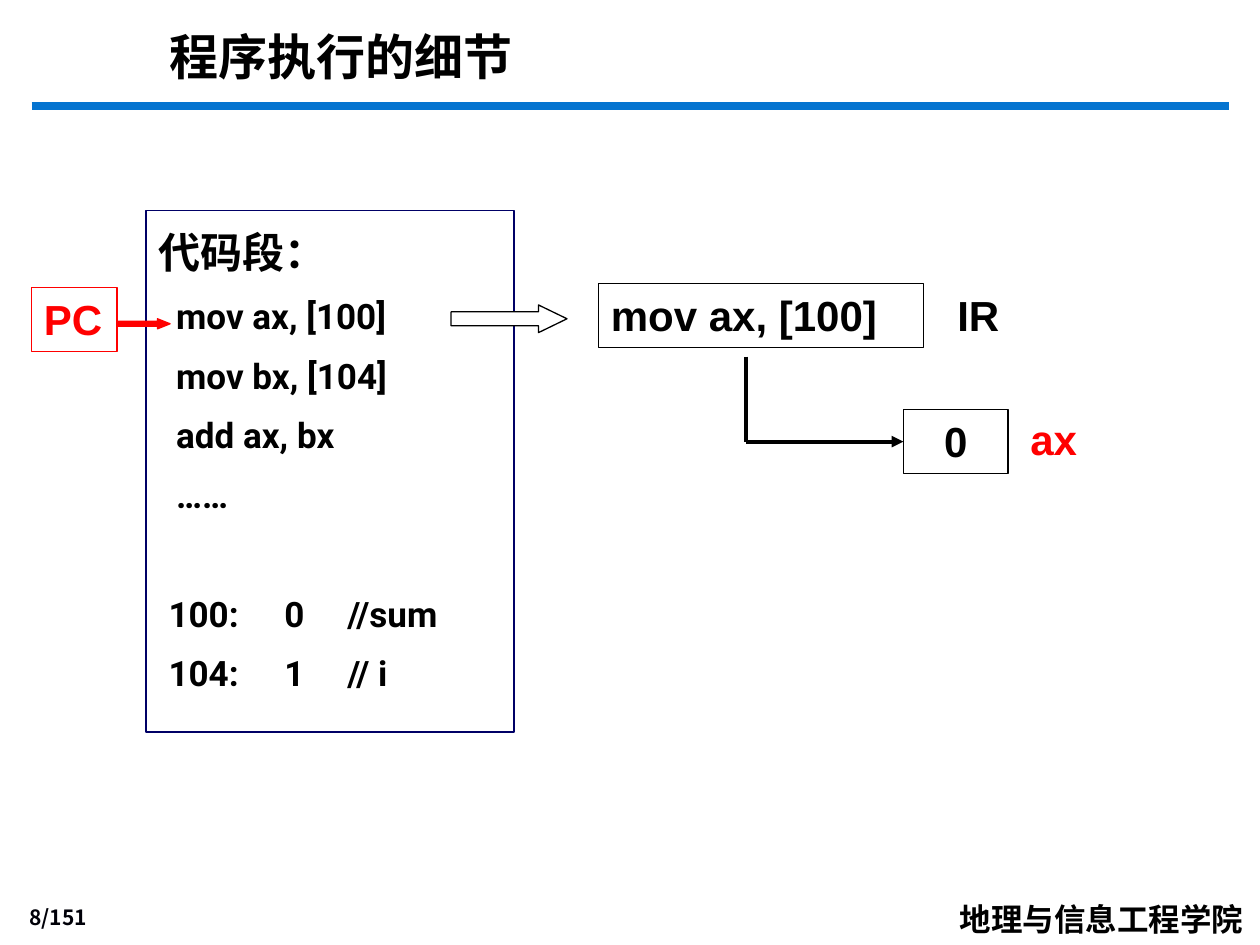
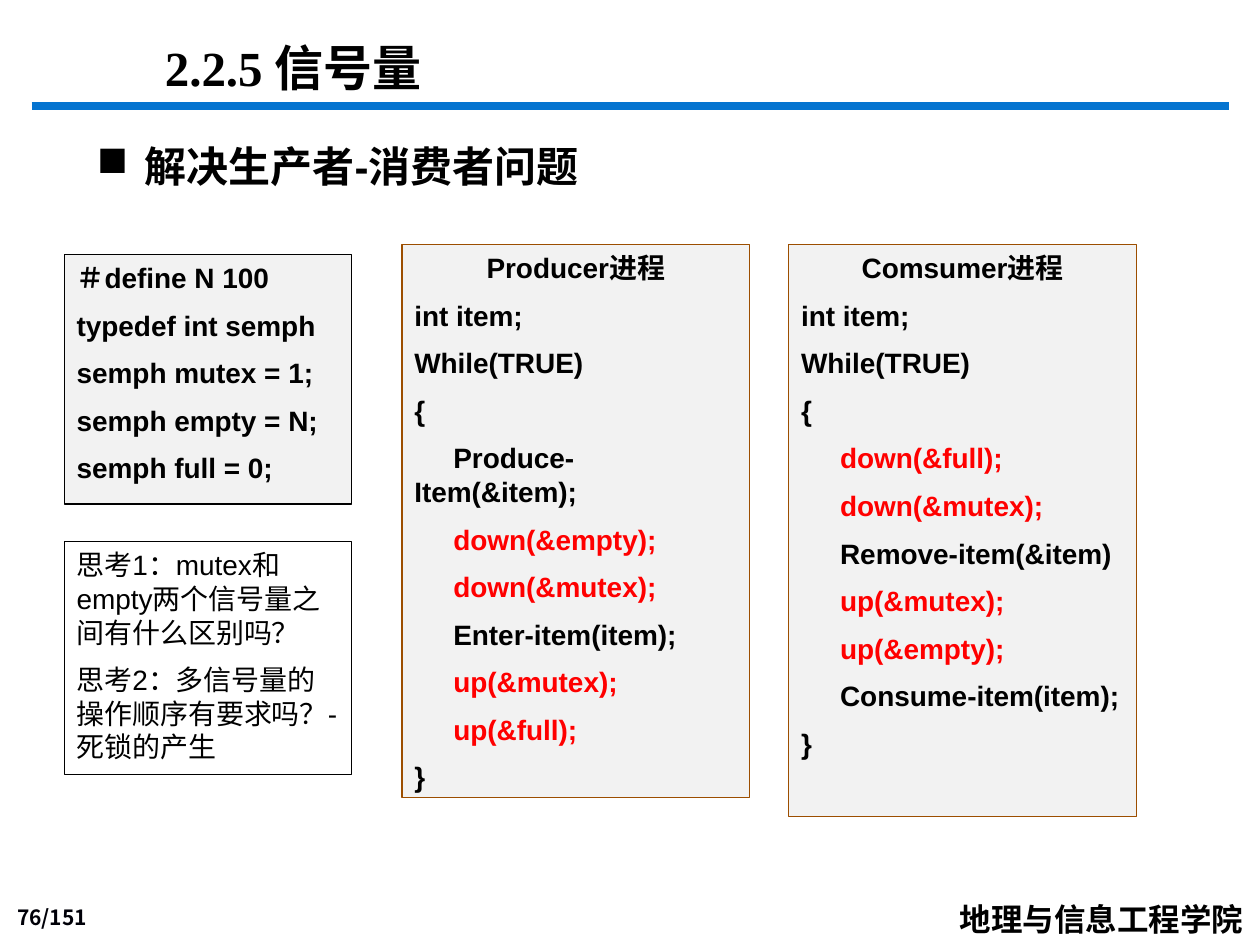
from lxml.etree import SubElement
from pptx import Presentation
from pptx.dml.color import RGBColor
from pptx.enum.shapes import MSO_CONNECTOR, MSO_SHAPE
from pptx.enum.text import MSO_ANCHOR, PP_ALIGN
from pptx.oxml.ns import qn
from pptx.util import Inches, Pt

BLACK = RGBColor(0x00, 0x00, 0x00)
WHITE = RGBColor(0xFF, 0xFF, 0xFF)
RED = RGBColor(0xFF, 0x00, 0x00)
BLUE = RGBColor(0x05, 0x74, 0xD0)
NAVY = RGBColor(0x00, 0x00, 0x66)
NUMBER_INK = RGBColor(0x00, 0x00, 0x08)
BROWN = RGBColor(0x9C, 0x4E, 0x00)
PANEL_GRAY = RGBColor(0xF2, 0xF2, 0xF2)

SLIDE_WIDTH, SLIDE_HEIGHT = Inches(10), Inches(7.5)
COLUMNS, ROWS = 100, 75
CJK_FONT = "Noto Sans CJK SC"

SCHOOL = "地理与信息工程学院"
PAGE_COUNT = 151

EXECUTION = {
    "number": 8,
    "title": "程序执行的细节",
    "heading": "代码段：",
    "instructions": ["mov ax, [100]", "mov bx, [104]", "add ax, bx", "……"],
    "memory": ["100:\t0\t//sum", "104:\t1\t// i"],
}
SEMAPHORE = {
    "number": 76,
    "title": "2.2.5 信号量",
    "topic": "解决生产者-消费者问题",
    "definitions": [
        "＃define N 100", "typedef int semph", "semph mutex = 1;",
        "semph empty = N;", "semph full = 0;",
    ],
    "questions": [
        "思考1：mutex和empty两个信号量之间有什么区别吗？",
        "思考2：多信号量的操作顺序有要求吗？-死锁的产生",
    ],
    "processes": [
        ("Producer进程", 43.9, [
            "Produce-Item(&item);", "down(&empty);", "down(&mutex);",
            "Enter-item(item);", "up(&mutex);", "up(&full);",
        ]),
        ("Comsumer进程", 45.4, [
            "down(&full);", "down(&mutex);", "Remove-item(&item)",
            "up(&mutex);", "up(&empty);", "Consume-item(item);",
        ]),
    ],
}


def across(columns):
    return round(SLIDE_WIDTH * columns / COLUMNS)


def down(rows):
    return round(SLIDE_HEIGHT * rows / ROWS)


def place(area):
    left, top, width, height = area
    return across(left), down(top), across(width), down(height)


def add_text(page, area, lines, wrap=True, anchor=MSO_ANCHOR.TOP, **style):
    box = page.shapes.add_textbox(*place(area))
    write(box, lines, wrap, anchor, **style)
    return box


def add_panel(page, area, line, fill=None, kind=MSO_SHAPE.RECTANGLE):
    panel = page.shapes.add_shape(kind, *place(area))
    panel.shadow.inherit = False
    panel.line.color.rgb = line
    panel.line.width = Pt(0.75)
    if fill is None:
        panel.fill.background()
    else:
        panel.fill.solid()
        panel.fill.fore_color.rgb = fill
    return panel


def add_line(page, start, end, color, width, arrow=False):
    line = page.shapes.add_connector(
        MSO_CONNECTOR.STRAIGHT,
        across(start[0]), down(start[1]), across(end[0]), down(end[1]))
    line.line.color.rgb = color
    line.line.width = Pt(width)
    if arrow:
        SubElement(line.line._ln, qn("a:tailEnd"), type="triangle")
    SubElement(line._element.spPr, qn("a:effectLst"))
    return line


def write(box, lines, wrap=True, anchor=MSO_ANCHOR.TOP, **style):
    frame = box.text_frame
    frame.word_wrap = wrap
    frame.vertical_anchor = anchor
    for index, line in enumerate(lines):
        para = frame.paragraphs[0] if index == 0 else frame.add_paragraph()
        own = line if isinstance(line, dict) else {"text": line}
        format_paragraph(para, index, **{**style, **own})


def format_paragraph(para, index, text, size=24, font="Arial", color=BLACK,
                     bold=True, align=PP_ALIGN.LEFT, first_indent=0,
                     margin=0, bullet=None, tabs=(), extra_space=0):
    para.text = text
    para.alignment = align
    para.space_before = Pt(size / 2 + extra_space if index else 0)
    properties = para._p.get_or_add_pPr()
    properties.set("marL", str(across(margin)))
    properties.set("indent", str(across(first_indent)))
    if bullet:
        SubElement(properties, qn("a:buChar"), char=bullet)
    if tabs:
        stops = SubElement(properties, qn("a:tabLst"))
        for stop in tabs:
            SubElement(stops, qn("a:tab"), pos=str(across(stop)), algn="l")
    para.font.size = Pt(size)
    para.font.bold = bold
    para.font.color.rgb = color
    para.font.name = font
    east_asian = SubElement(properties.find(qn("a:defRPr")), qn("a:ea"))
    east_asian.set("typeface", CJK_FONT)


def add_page(deck, number):
    page = deck.slides.add_slide(deck.slide_layouts[6])
    add_line(page, (2.5, 8.4), (97.5, 8.4), BLUE, 4.5)
    add_text(page, (0, 71.4, 7.9, 2.9), [f"{number}/{PAGE_COUNT}"],
             anchor=MSO_ANCHOR.BOTTOM, size=12, font="Noto Sans CJK JP",
             color=NUMBER_INK, align=PP_ALIGN.RIGHT)
    add_text(page, (75.2, 70.9, 24.7, 4), [SCHOOL], wrap=False,
             size=18, font=CJK_FONT)
    return page


def build_execution(deck):
    page = add_page(deck, EXECUTION["number"])
    add_text(page, (12.5, 1.4, 64.7, 6.1), [EXECUTION["title"]],
             anchor=MSO_ANCHOR.MIDDLE, size=28)

    add_panel(page, (11.6, 16.7, 29.2, 41.4), NAVY, WHITE)
    code = [{"text": EXECUTION["heading"], "size": 24, "font": "Arial"}]
    code += [{"text": text, "first_indent": 1.4}
             for text in EXECUTION["instructions"]]
    code += [{"text": text, "first_indent": 0.8, "tabs": (8.4, 13.5),
              "extra_space": 0 if row else 34}
             for row, text in enumerate(EXECUTION["memory"])]
    add_text(page, (11.6, 17.5, 35, 40), code, size=20, font="Roboto")

    fetch = add_panel(page, (35.8, 24.2, 9.2, 2.2), BLACK, WHITE,
                      MSO_SHAPE.RIGHT_ARROW)
    fetch.adjustments[1] = 1.03
    counter = add_panel(page, (2.5, 22.8, 6.8, 5.1), RED)
    write(counter, ["PC"], wrap=False, color=RED)
    pointer = add_panel(page, (9.3, 25.3, 4.2, 0.8), RED, RED,
                        MSO_SHAPE.RIGHT_ARROW)
    pointer.adjustments[1] = 1.25

    instruction = add_panel(page, (47.5, 22.5, 25.8, 5.1), BLACK)
    write(instruction, EXECUTION["instructions"][:1])
    add_text(page, (75, 22.5, 10, 5), ["IR"])

    register = add_panel(page, (71.7, 32.5, 8.3, 5.1), BLACK)
    write(register, ["0"], align=PP_ALIGN.CENTER)
    add_text(page, (80.8, 32.3, 10, 5), ["ax"], color=RED)
    add_line(page, (59.2, 28.3), (59.2, 35.05), BLACK, 2.25)
    load = add_line(page, (59.2, 35.05), (71.7, 35.05), BLACK, 2.25, arrow=True)
    load.end_connect(register, 1)


def process_lines(name, steps):
    body = [{"text": step, "first_indent": 3.1,
             "color": RED if step.startswith(("down", "up")) else BLACK}
            for step in steps]
    return [{"text": name, "align": PP_ALIGN.CENTER},
            "int item;", "While(TRUE)", "{", *body, "}"]


def build_semaphore(deck):
    page = add_page(deck, SEMAPHORE["number"])
    add_text(page, (12.1, 2.5, 79.5, 5.7), [SEMAPHORE["title"]],
             size=28, font="Times New Roman")
    add_text(page, (6.7, 10.7, 77.2, 5), [SEMAPHORE["topic"]],
             margin=3.8, first_indent=-3.8, bullet="■")

    for index, (name, height, steps) in enumerate(SEMAPHORE["processes"]):
        area = (31.9 + index * 30.7, 19.4, 27.6, height)
        process = add_panel(page, area, BROWN, PANEL_GRAY)
        write(process, process_lines(name, steps), size=16)

    definitions = add_panel(page, (5.1, 20.2, 22.8, 19.8), BLACK, PANEL_GRAY)
    write(definitions, SEMAPHORE["definitions"], size=16)
    questions = add_panel(page, (5.1, 43, 22.8, 18.5), BLACK)
    write(questions, SEMAPHORE["questions"], size=16, bold=False)


def main():
    deck = Presentation()
    deck.slide_width, deck.slide_height = SLIDE_WIDTH, SLIDE_HEIGHT
    build_execution(deck)
    build_semaphore(deck)
    deck.save("out.pptx")


if __name__ == "__main__":
    main()
